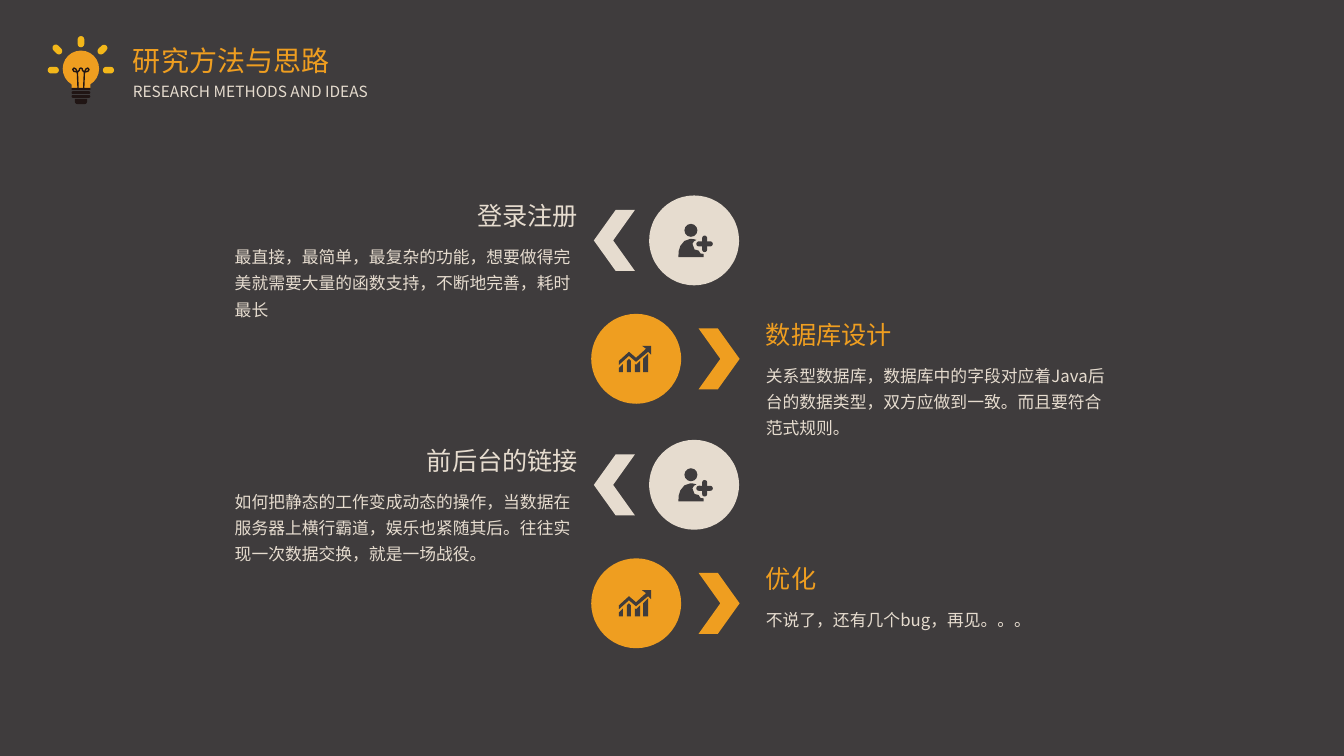
from typing import NamedTuple

from lxml.etree import SubElement
from pptx import Presentation
from pptx.dml.color import RGBColor
from pptx.enum.shapes import MSO_SHAPE as Kind
from pptx.enum.text import MSO_ANCHOR as Anchor, MSO_AUTO_SIZE as Auto, PP_ALIGN as Align
from pptx.oxml.ns import qn
from pptx.util import Pt

DARK = RGBColor(0x3F, 0x3C, 0x3D)
AMBER = RGBColor(0xEF, 0x9E, 0x20)
CREAM = RGBColor(0xE6, 0xDC, 0xCF)
GOLD = RGBColor(0xF3, 0xB7, 0x1A)
BLACK = RGBColor(0x20, 0x15, 0x14)
FACE = "Noto Sans CJK SC"
Points = list[tuple[float, float]]


class Step(NamedTuple):
    head: str
    body: str


class Side(NamedTuple):
    color: RGBColor
    disc: float
    arrow: float
    turn: int
    head: float
    body: float
    align: Align


class Ray(NamedTuple):
    x: float
    y: float
    turn: int


STEPS = [
    Step("登录注册", "最直接，最简单，最复杂的功能，想要做得完美就需要大量的函数支持，不断地完善，耗时最长"),
    Step("数据库设计", "关系型数据库，数据库中的字段对应着Java后台的数据类型，双方应做到一致。而且要符合范式规则。"),
    Step("前后台的链接", "如何把静态的工作变成动态的操作，当数据在服务器上横行霸道，娱乐也紧随其后。往往实现一次数据交换，就是一场战役。"),
    Step("优化", "不说了，还有几个bug，再见。。。"),
]
LEFT = Side(CREAM, 463.7, 424.2, 180, 266, 160.6, Align.RIGHT)
RIGHT = Side(AMBER, 422.3, 499, 0, 540, 540, Align.LEFT)
DISC = 64.2

RAYS = [Ray(38.1, 50.1, 0), Ray(41, 35.4, 45), Ray(57.8, 29.8, 90),
        Ray(73.2, 35.4, -45), Ray(77.5, 50.1, 0)]
MID = 57.8
WIRE = [(-2, 63), (-2.5, 51.8), (-3.6, 49.3), (-5, 48.6), (-5.8, 49.7),
        (-5, 51), (-2.5, 51.5), (-1.2, 50.4), (-0.9, 49), (0, 48.6)]

# Icon outlines, measured from the corner of the disc
BARS = [
    [(19.8, 41.5), (22.7, 41.5), (22.7, 35.7), (19.8, 38.6)],
    [(25.5, 33.6), (25.5, 41.5), (28.4, 41.5), (28.4, 33.6), (27, 32.1)],
    [(31.3, 35.7), (31.3, 41.5), (34.9, 41.5), (34.9, 33.6), (32, 36.4)],
    [(37.1, 32.1), (37.1, 41.5), (40.7, 41.5), (40.7, 28.5)],
]
TREND = [(42.8, 22.8), (36.3, 22.8), (39.2, 24.9), (32, 31.4), (27, 27.1), (19.8, 33.6),
         (19.8, 36.4), (27, 30), (32, 34.3), (40.7, 27.1), (42.8, 29.2)]
TORSO = [(20.9, 44), (38.9, 44), (38.9, 41.8), (36.7, 41.5), (35.3, 39.4), (32.4, 38.6),
         (30.9, 34.6), (32, 32.8), (33.8, 31.8), (31.7, 31.2), (29.5, 31), (25.2, 32.5),
         (22.3, 36), (21, 40)]

deck = Presentation()
deck.slide_width, deck.slide_height = Pt(960), Pt(540)
slide = deck.slides.add_slide(deck.slide_layouts[5])
slide.background.fill.solid()
slide.background.fill.fore_color.rgb = DARK
shapes = slide.shapes


def apply(item: object, form: dict) -> None:
    for key, value in form.items():
        setattr(item, key, value)


def paint(shape, color: RGBColor) -> None:
    shape.shadow.inherit = False
    shape.fill.solid()
    shape.fill.fore_color.rgb = color
    shape.line.fill.background()


def form(kind: Kind, x: float, y: float, wide: float, high: float,
         color: RGBColor, bend: float | None = None, turn: int = 0) -> None:
    shape = shapes.add_shape(kind, Pt(x), Pt(y), Pt(wide), Pt(high))
    if bend is not None:
        shape.adjustments[0] = bend
    shape.rotation = turn
    paint(shape, color)


def trace(loops: list[Points], x: float, y: float, close: bool = True):
    rings = [[(Pt(x + px), Pt(y + py)) for px, py in loop] for loop in loops]
    pen = shapes.build_freeform(*rings[0][0])
    for ring in rings:
        if ring is not rings[0]:
            pen.move_to(*ring[0])
        pen.add_line_segments(ring[1:], close=close)
    return pen.convert_to_shape()


def write(box, text: str, size: float, color: RGBColor, wrap: bool = True,
          align: Align = Align.LEFT, space: float = 1.0) -> None:
    frame = box.text_frame
    apply(frame, dict(word_wrap=wrap, auto_size=Auto.NONE, vertical_anchor=Anchor.TOP))
    line = frame.paragraphs[0]
    apply(line, dict(alignment=align, line_spacing=space))
    run = line.add_run()
    run.text = text
    apply(run.font, dict(size=Pt(size), name=FACE, bold=False))
    run.font.color.rgb = color
    SubElement(run.font._element, qn("a:ea"), typeface=FACE)


def label(x: float, y: float, wide: float, high: float, *args, **style) -> None:
    write(shapes.add_textbox(Pt(x), Pt(y), Pt(wide), Pt(high)), *args, **style)


def person(x: float, y: float) -> None:
    form(Kind.OVAL, x + 25.2, y + 20.3, 9.3, 9.3, DARK)
    paint(trace([TORSO], x, y), DARK)
    for turn in (0, 90):
        form(Kind.ROUNDED_RECTANGLE, x + 33.7, y + 32.8, 11.8, 3.6, DARK, 0.5, turn)


def growth(x: float, y: float) -> None:
    for loops in (BARS, [TREND]):
        paint(trace(loops, x, y), DARK)


# Title and subtitle
title = shapes.title
apply(title, dict(left=Pt(87.8), top=Pt(27.4), width=Pt(155.5), height=Pt(31.7)))
write(title, "研究方法与思路", 20, AMBER, wrap=False)
label(87.8, 51.1, 225.4, 23, "RESEARCH METHODS AND IDEAS", 11, CREAM, space=1.3)

# Light bulb
form(Kind.OVAL, 44.8, 36.1, 26, 26, AMBER)
form(Kind.RECTANGLE, 51.1, 58, 13.4, 5, AMBER)
wire = trace([WIRE + [(-x, y) for x, y in WIRE[-2::-1]]], MID, 0, close=False)
wire.shadow.inherit = False
wire.fill.background()
wire.line.color.rgb = BLACK
wire.line.width = Pt(1)
form(Kind.RECTANGLE, 51.1, 62.8, 13.4, 1.5, BLACK)
for y in (65.1, 67.9):
    form(Kind.ROUNDED_RECTANGLE, 51.1, y, 13.4, 2, BLACK, 0.5)
form(Kind.ROUND_2_SAME_RECTANGLE, 53.4, 70.6, 8.8, 3.8, BLACK, 0.5, 180)
for ray in RAYS:
    form(Kind.ROUNDED_RECTANGLE, ray.x - 4, ray.y - 2.4, 8, 4.8, GOLD, 0.5, ray.turn)

# Steps, by turns on the left and on the right
for rank, step in enumerate(STEPS):
    pair, odd = divmod(rank, 2)
    side = RIGHT if odd else LEFT
    top = 139.6 + 174.6 * pair + 84.6 * odd
    form(Kind.OVAL, side.disc, top, DISC, DISC, side.color)
    form(Kind.CHEVRON, side.arrow, top + 10.4, 29.3, 43.5, side.color, 0.53, side.turn)
    (growth if odd else person)(side.disc, top)
    label(side.head, top, 154, 29, step.head, 18, side.color, align=side.align)
    label(side.body, top + 29, 259.2, 64, step.body, 12, CREAM, space=1.3)

deck.save("out.pptx")
